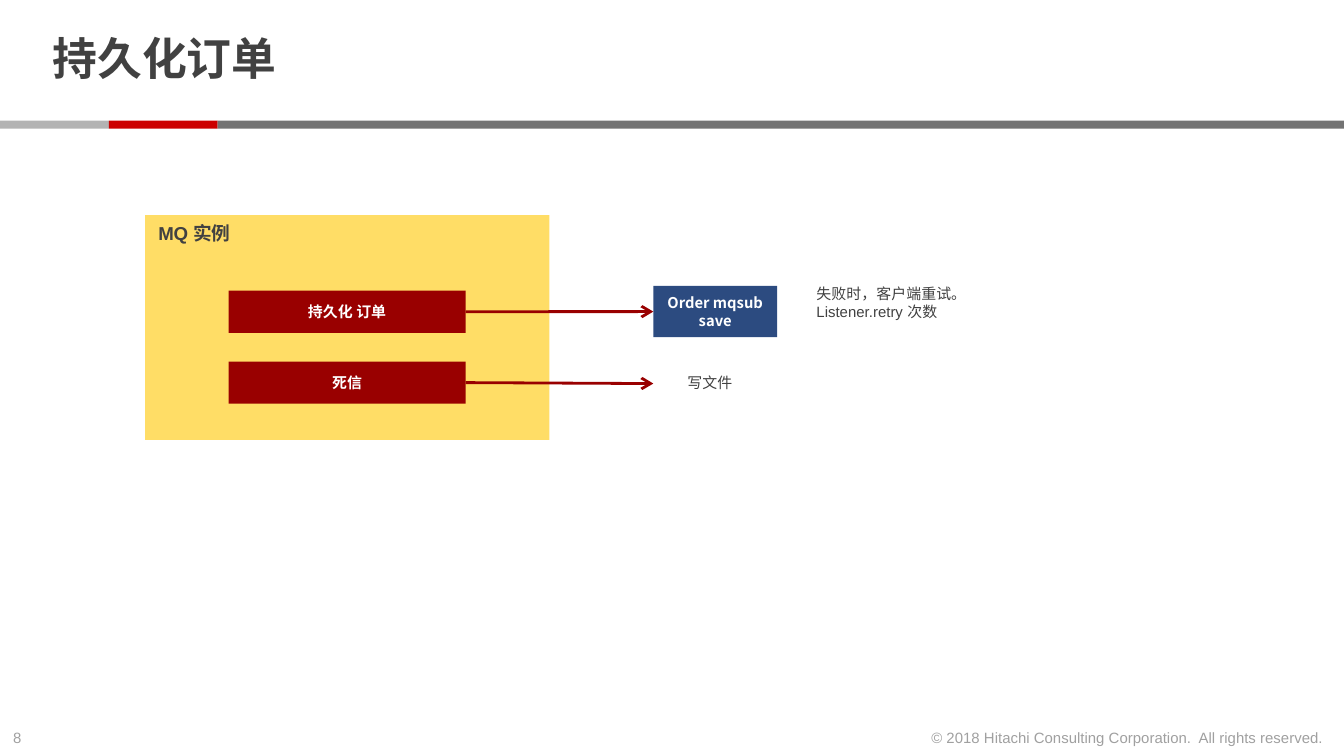
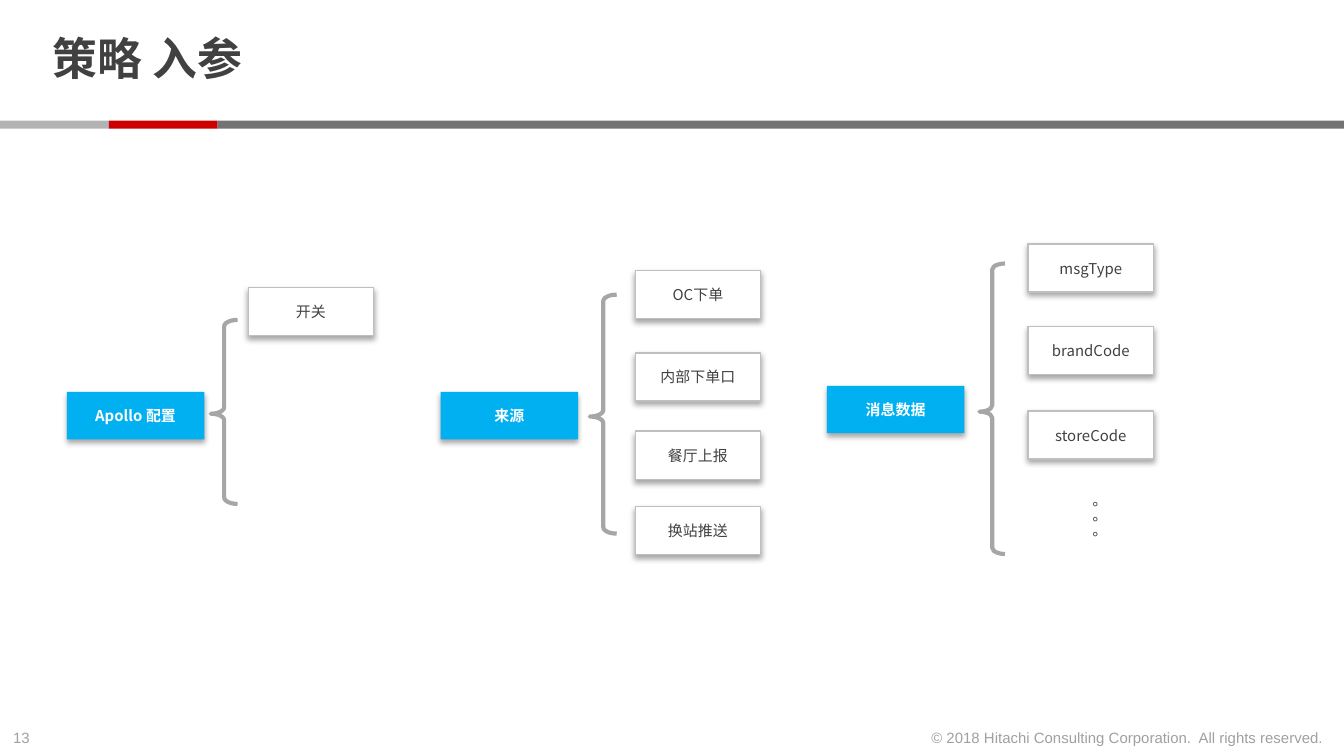
from dataclasses import dataclass

from lxml.etree import SubElement
from pptx import Presentation
from pptx.dml.color import RGBColor
from pptx.enum.shapes import MSO_CONNECTOR, MSO_SHAPE
from pptx.enum.text import MSO_ANCHOR, MSO_AUTO_SIZE, PP_ALIGN
from pptx.oxml.ns import qn
from pptx.util import Pt

COLORS = {
    "text": "414141", "footer": "A0A0A0", "white": "FFFFFF",
    "band_light": "B3B3B3", "band_red": "CC0000", "band_dark": "737373",
    "instance": "FFDD66", "queue": "990000", "subscriber": "2C4B80",
    "heading": "00B0F0", "item_line": "BFBFBF", "brace": "A6A6A6",
}
LATIN = "Arial"
CJK = "Noto Sans CJK SC"
COPYRIGHT = "© 2018 Hitachi Consulting Corporation.\u00a0 All rights reserved."


@dataclass(frozen=True)
class Frame:
    left: float
    top: float
    width: float
    height: float

    def lengths(self) -> tuple:
        return Pt(self.left), Pt(self.top), Pt(self.width), Pt(self.height)


@dataclass(frozen=True)
class Style:
    fill: str | None = None
    line: str | None = None
    color: str = "text"
    font: str = LATIN
    size: float = 8
    bold: bool = False
    align: PP_ALIGN = PP_ALIGN.CENTER
    anchor: MSO_ANCHOR = MSO_ANCHOR.MIDDLE
    shadow: bool = False
    wrap: bool = True


@dataclass(frozen=True)
class Group:
    heading: str
    heading_left: float
    heading_top: float
    brace: Frame
    item_left: float
    items: tuple[tuple[str, float], ...]


INSTANCE = Style("instance", size=10, bold=True, align=PP_ALIGN.LEFT, anchor=MSO_ANCHOR.TOP)
QUEUE = Style("queue", color="white", bold=True)
SUBSCRIBER = Style("subscriber", color="white", font=CJK, size=7.9, bold=True)
HEADING = Style("heading", color="white", font=CJK, bold=True, shadow=True)
ITEM = Style("white", "item_line", font=CJK, shadow=True)
NOTE = Style(align=PP_ALIGN.LEFT)
VERTICAL = Style(align=PP_ALIGN.LEFT, anchor=MSO_ANCHOR.TOP)
PAGE_NUMBER = Style(color="footer", align=PP_ALIGN.LEFT, anchor=MSO_ANCHOR.TOP, wrap=False)
FOOTER = Style(color="footer", align=PP_ALIGN.RIGHT, anchor=MSO_ANCHOR.TOP, wrap=False)

BANDS = (("band_light", 0, 58.3), ("band_red", 58.3, 116.6), ("band_dark", 116.6, 720))

GROUPS = (
    Group("Apollo 配置", 35.8, 210, Frame(112.9, 171.4, 14.4, 98.6), 133, (("开关", 154.1),)),
    Group("来源", 236.1, 210, Frame(316, 157.9, 14.4, 128), 340.3,
          (("OC下单", 144.9), ("内部下单口", 189.1), ("餐厅上报", 231), ("换站推送", 271.4))),
    Group("消息数据", 443, 206.7, Frame(524.7, 141.2, 13.7, 155.6), 550.8,
          (("msgType", 130.8), ("brandCode", 174.9), ("storeCode", 220.2))),
)


def rgb(name: str) -> RGBColor:
    return RGBColor.from_string(COLORS[name])


def write(shape, text: str, style: Style) -> None:
    frame = shape.text_frame
    frame.word_wrap = style.wrap
    frame.auto_size = MSO_AUTO_SIZE.NONE
    frame.vertical_anchor = style.anchor
    frame.text = text
    for para in frame.paragraphs:
        para.alignment = style.align
        para.font.name = style.font
        para.font.size = Pt(style.size)
        para.font.bold = style.bold
        para.font.color.rgb = rgb(style.color)


def add_soft_shadow(shape) -> None:
    effects = shape._element.spPr.find(qn("a:effectLst"))
    shadow = SubElement(effects, qn("a:outerShdw"), blurRad=str(Pt(3.1)), dist=str(Pt(1.8)),
                        dir="5400000", algn="t", rotWithShape="0")
    color = SubElement(shadow, qn("a:srgbClr"), val="000000")
    SubElement(color, qn("a:alpha"), val="35000")


def add_box(page, frame: Frame, style: Style, text: str = ""):
    """Draw a rectangle, or a text box when the style has no fill."""
    if style.fill is None:
        box = page.shapes.add_textbox(*frame.lengths())
    else:
        box = page.shapes.add_shape(MSO_SHAPE.RECTANGLE, *frame.lengths())
        box.shadow.inherit = False
        box.fill.solid()
        box.fill.fore_color.rgb = rgb(style.fill)
        if style.line is None:
            box.line.fill.background()
        else:
            box.line.color.rgb = rgb(style.line)
            box.line.width = Pt(0.75)
        if style.shadow:
            add_soft_shadow(box)
    if text:
        write(box, text, style)
    return box


def add_arrow(page, source, end_left: float, end_top: float, target=None) -> None:
    """Draw an arrow from the right side of source to target or to a free point."""
    arrow = page.shapes.add_connector(MSO_CONNECTOR.STRAIGHT, 0, 0, Pt(end_left), Pt(end_top))
    arrow.begin_connect(source, 3)
    if target is not None:
        arrow.end_connect(target, 1)
    arrow.line.color.rgb = rgb("queue")
    arrow.line.width = Pt(1.5)
    SubElement(arrow.line._get_or_add_ln(), qn("a:tailEnd"), type="arrow")
    SubElement(arrow._element.spPr, qn("a:effectLst"))


def add_brace(page, frame: Frame) -> None:
    brace = page.shapes.add_shape(MSO_SHAPE.LEFT_BRACE, *frame.lengths())
    brace.shadow.inherit = False
    brace.adjustments[0] = 0.24
    brace.adjustments[1] = 0.51
    brace.fill.background()
    brace.line.color.rgb = rgb("brace")
    brace.line.width = Pt(2.25)


def add_page(deck, title: str, number: int):
    """Add a slide with the shared title, band and footer."""
    page = deck.slides.add_slide(deck.slide_layouts[5])
    heading = page.shapes.title
    heading.left, heading.top, heading.width, heading.height = Frame(20.9, 4.3, 555, 57.6).lengths()
    write(heading, title, Style(size=24, bold=True, align=PP_ALIGN.LEFT))
    heading.text_frame.margin_top = heading.text_frame.margin_bottom = 0
    heading.text_frame.paragraphs[0].line_spacing = 0.85
    for color, left, right in BANDS:
        add_box(page, Frame(left, 64.6, right - left, 4.3), Style(color))
    add_box(page, Frame(0, 387, 24.5, 17.3), PAGE_NUMBER, str(number))
    add_box(page, Frame(489.2, 387, 227, 17.3), FOOTER, COPYRIGHT)
    return page


def build_order_page(deck) -> None:
    page = add_page(deck, "持久化订单", 8)
    add_box(page, Frame(77.7, 115.2, 216.6, 120.5), INSTANCE, "MQ 实例")
    order_queue, dead_letters = (
        add_box(page, Frame(122.5, top, 127, 22.6), QUEUE, text)
        for text, top in (("持久化 订单", 155.7), ("死信", 193.7))
    )
    subscriber = add_box(page, Frame(350, 153.2, 66.4, 27.5), SUBSCRIBER, "Order mqsub save")
    add_arrow(page, order_queue, 350, 167, subscriber)
    add_arrow(page, dead_letters, 350, 205.5)
    add_box(page, Frame(430.3, 149, 98, 26.6), NOTE, "失败时，客户端重试。\nListener.retry 次数")
    add_box(page, Frame(361.2, 196.4, 44, 17.3), NOTE, "写文件")


def build_strategy_page(deck) -> None:
    page = add_page(deck, "策略 入参", 13)
    for group in GROUPS:
        add_box(page, Frame(group.heading_left, group.heading_top, 73.7, 25.4), HEADING, group.heading)
        add_brace(page, group.brace)
        for text, top in group.items:
            add_box(page, Frame(group.item_left, top, 67.2, 25.8), ITEM, text)
    more = add_box(page, Frame(568, 261.4, 24.5, 42.5), VERTICAL, "。。。")
    more.text_frame._txBody.bodyPr.set("vert", "eaVert")


def main() -> None:
    deck = Presentation()
    deck.slide_width, deck.slide_height = Pt(720), Pt(405)
    build_order_page(deck)
    build_strategy_page(deck)
    deck.save("out.pptx")


if __name__ == "__main__":
    main()
